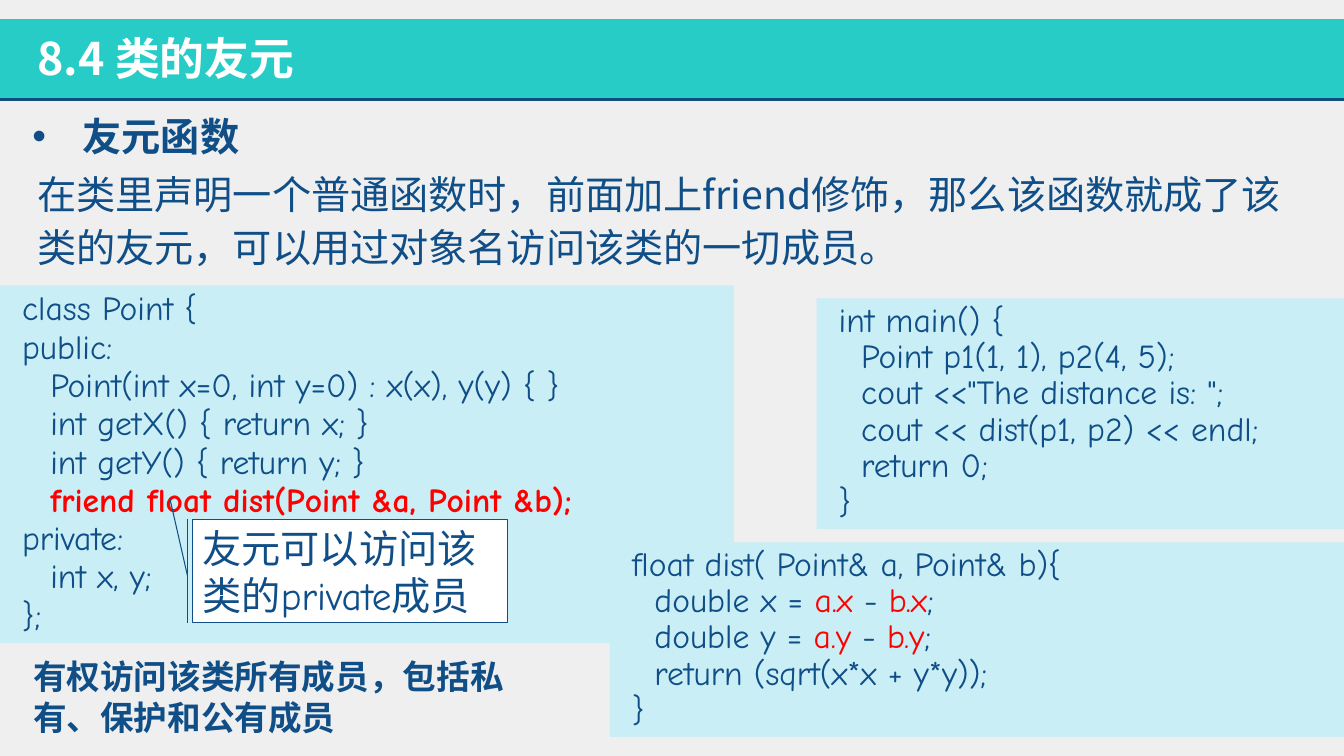
import pptx
import pptx.util
import pptx.dml.color
import pptx.enum.shapes
import pptx.enum.text
import pptx.oxml
import pptx.oxml.ns
from lxml import etree

Inches, Pt = pptx.util.Inches, pptx.util.Pt
MSO_SHAPE = pptx.enum.shapes.MSO_SHAPE
ANCHOR = pptx.enum.text.MSO_ANCHOR
AUTO_SIZE = pptx.enum.text.MSO_AUTO_SIZE
LEFT = pptx.enum.text.PP_ALIGN.LEFT
qn = pptx.oxml.ns.qn
rgb = pptx.dml.color.RGBColor.from_string

THEME = {
    "colours": {
        "page": rgb("EFEFEF"), "band": rgb("26CCC5"), "rule": rgb("104D7E"),
        "ink": rgb("104E87"), "code": rgb("C9EEF6"), "accent": rgb("FF0000"),
        "white": rgb("FFFFFF"),
    },
    "sizes": {"title": Pt(32), "body": Pt(28), "code": Pt(24)},
    "fonts": {"sans": "Noto Sans CJK JP", "comic": "Comic Neue"},
}
COLOURS, SIZES, FONTS = THEME["colours"], THEME["sizes"], THEME["fonts"]


def write(frame, text, font, spacing=1.0, indent=None, bullet=None,
          anchor=ANCHOR.TOP, fit=AUTO_SIZE.SHAPE_TO_FIT_TEXT, accent_bold=None):
    """Fill a text frame; words between | marks take the accent colour."""
    frame_format = {"word_wrap": True, "auto_size": fit, "vertical_anchor": anchor}
    for key, value in frame_format.items():
        setattr(frame, key, value)
    for row, line in enumerate(text.split("\n")):
        paragraph = frame.add_paragraph() if row else frame.paragraphs[0]
        paragraph_format = {"alignment": LEFT, "line_spacing": spacing, "space_before": Pt(0)}
        for key, value in paragraph_format.items():
            setattr(paragraph, key, value)
        properties = paragraph._p.get_or_add_pPr()
        if indent:
            for key, value in zip(("marL", "indent"), indent):
                properties.set(key, str(Inches(value)))
        if bullet:
            etree.SubElement(properties, qn("a:buChar")).set("char", bullet)
        for part, words in enumerate(line.split("|")):
            if not words:
                continue
            run = paragraph.add_run()
            run.text = words
            run_format = {"size": SIZES["body"], "bold": False, **font}
            colour = run_format.pop("colour", COLOURS["ink"])
            if part % 2:
                colour = COLOURS["accent"]
                run_format["bold"] = accent_bold
            for key, value in run_format.items():
                setattr(run.font, key, value)
            run.font.color.rgb = colour
            east_asian = etree.SubElement(run._r.get_or_add_rPr(), qn("a:ea"))
            east_asian.set("typeface", run_format["name"])


def block(kind, place, fill):
    """Add a filled shape without outline or shadow."""
    shape = slide.shapes.add_shape(kind, *map(Inches, place))
    shape.shadow.inherit = False
    shape.fill.solid()
    shape.fill.fore_color.rgb = fill
    shape.line.fill.background()
    return shape


# Slide
deck = pptx.Presentation()
deck.slide_width, deck.slide_height = Inches(13.33), Inches(7.5)
slide = deck.slides.add_slide(deck.slide_layouts[1])
slide.background.fill.solid()
slide.background.fill.fore_color.rgb = COLOURS["page"]

# Header band and rule
block(MSO_SHAPE.RECTANGLE, (0, 0.19, 13.33, 0.8), COLOURS["band"])
header_rule = slide.shapes.add_connector(
    pptx.enum.shapes.MSO_CONNECTOR.STRAIGHT, 0, Inches(0.99), Inches(13.33), Inches(0.99))
header_rule.line.color.rgb = COLOURS["rule"]
header_rule.line.width = Pt(2)
etree.SubElement(header_rule._element.spPr, qn("a:effectLst"))

# Title and topic, brought in front of the band
title, topic = slide.shapes.title, slide.placeholders[1]
for heading, place in ((title, (0.27, 0.25, 8.78, 0.64)), (topic, (0.22, 0.83, 5.01, 0.75))):
    for key, value in zip(("left", "top", "width", "height"), place):
        setattr(heading, key, Inches(value))
    slide.shapes.element.append(heading.element)
write(title.text_frame, "8.4 类的友元",
      {"name": FONTS["sans"], "size": SIZES["title"], "bold": True, "colour": COLOURS["white"]},
      anchor=ANCHOR.MIDDLE)
write(topic.text_frame, "友元函数", {"name": FONTS["sans"], "bold": True},
      spacing=1.5, indent=(0.5, -0.5), bullet="•")

# Explanation
explanation = slide.shapes.add_textbox(*map(Inches, (0.27, 1.58, 12.89, 1.15)))
write(explanation.text_frame,
      "在类里声明一个普通函数时，前面加上friend修饰，那么该函数就成了该类的友元，可以用过对象名访问该类的一切成员。",
      {"name": FONTS["sans"]}, spacing=Pt(38))

# Code panels
MAIN_CODE = """int main() {
  Point p1(1, 1), p2(4, 5);
  cout <<"The distance is: ";
  cout << dist(p1, p2) << endl;
  return 0;
}"""
CLASS_CODE = """class Point {
public:
\tPoint(int x=0, int y=0) : x(x), y(y) { }
\tint getX() { return x; }
\tint getY() { return y; }
\t|friend float dist(Point &a, Point &b);|
private:
\tint x, y;
};"""
DIST_CODE = """float dist( Point& a, Point& b){
  double x = |a.x| - |b.x|;
  double y = |a.y| - |b.y|;
  return (sqrt(x*x + y*y));
}"""
code_panels = (
    ((8.1, 2.96, 5.23, 2.29), MAIN_CODE, 0.9, False),
    ((0, 2.83, 7.28, 3.55), CLASS_CODE, 0.95, True),
    ((6.05, 5.38, 7.28, 1.93), DIST_CODE, 0.9, False),
)
for place, code, spacing, accent_bold in code_panels:
    panel = block(MSO_SHAPE.RECTANGLE, place, COLOURS["code"])
    write(panel.text_frame, code, {"name": FONTS["comic"], "size": SIZES["code"]},
          spacing=spacing, indent=(0.4, -0.28), accent_bold=accent_bold)

# Callout on the friend declaration
private_note = block(MSO_SHAPE.LINE_CALLOUT_1_BORDER_AND_ACCENT_BAR,
                     (1.91, 5.15, 3.12, 1.03), COLOURS["white"])
private_note.line.color.rgb = COLOURS["ink"]
private_note.line.width = Pt(0.75)
for index, value in enumerate((0.55, -0.016, -0.183, -0.071)):
    private_note.adjustments[index] = value
write(private_note.text_frame, "友元可以访问该类的private成员", {"name": FONTS["comic"]},
      anchor=ANCHOR.MIDDLE, fit=AUTO_SIZE.NONE)

# Access summary
summary = slide.shapes.add_textbox(*map(Inches, (0.23, 6.46, 5.15, 0.91)))
write(summary.text_frame, "有权访问该类所有成员，包括私有、保护和公有成员",
      {"name": FONTS["comic"], "size": SIZES["code"], "bold": True})

deck.save("out.pptx")
